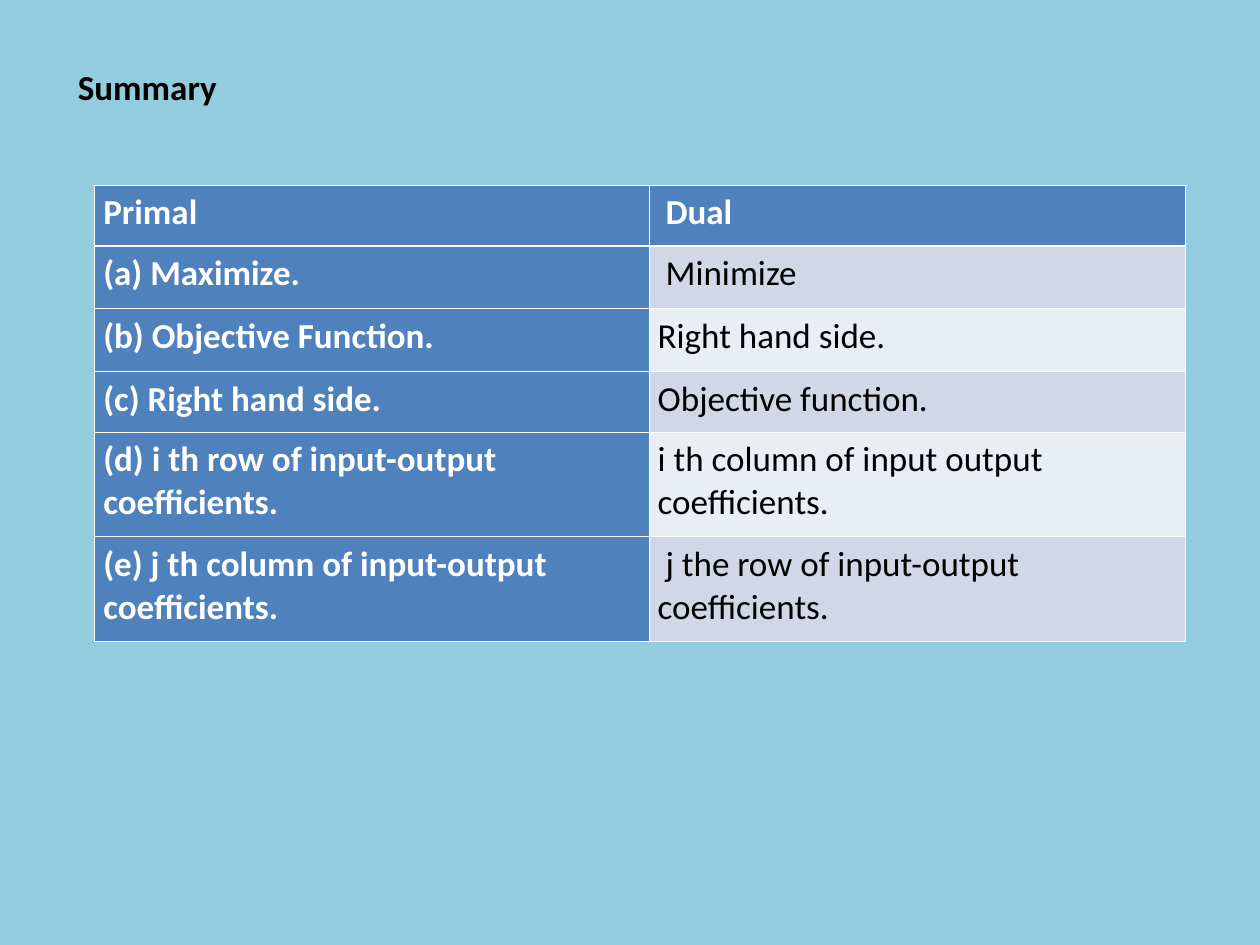
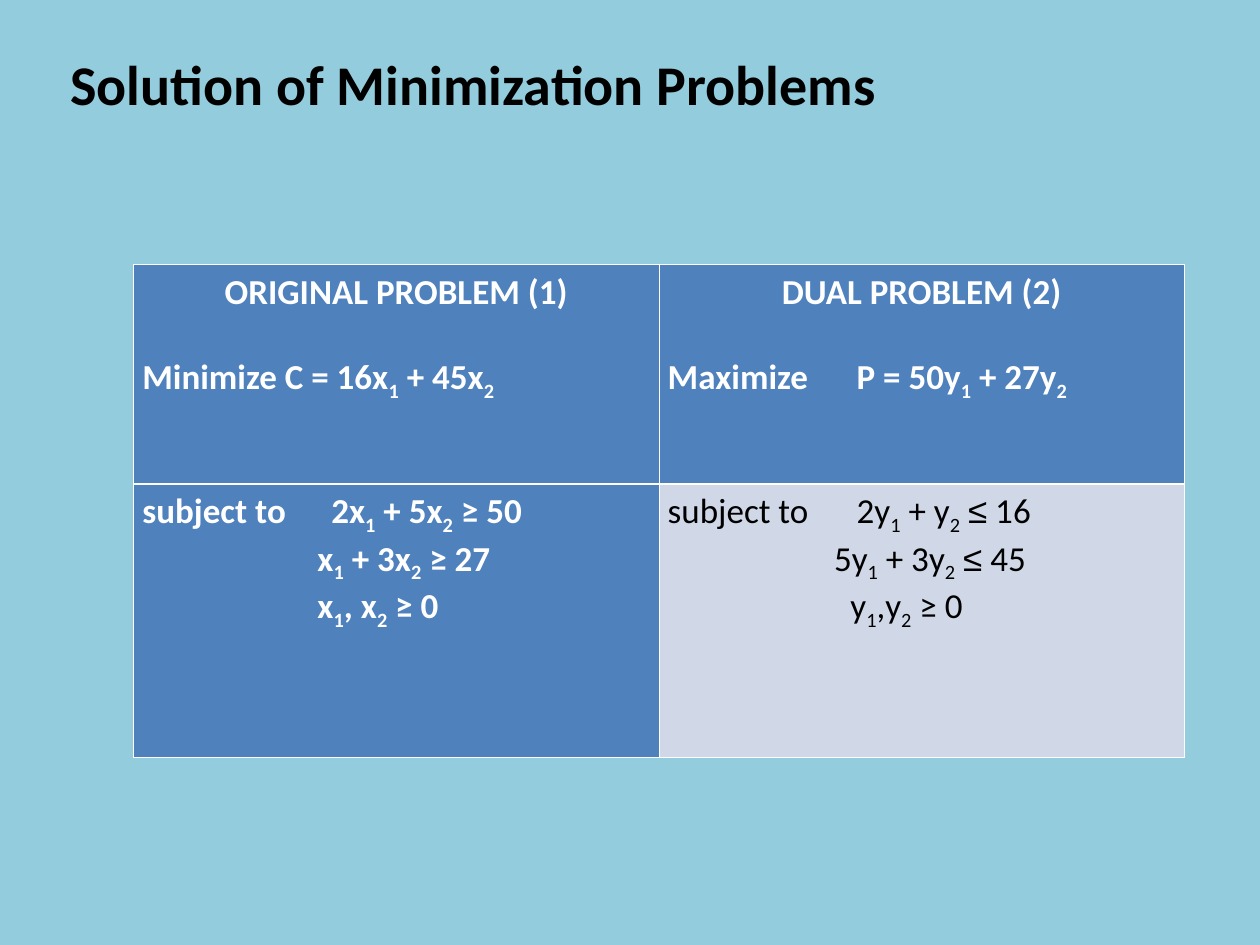
"""Build two slides comparing primal and dual linear programming problems."""
import itertools
from dataclasses import dataclass

import lxml.etree
import pptx
import pptx.dml.color
import pptx.enum.text
import pptx.oxml.ns
import pptx.util

Inches = pptx.util.Inches
Pt = pptx.util.Pt


@dataclass(frozen=True)
class Theme:
    """Colours, fonts and sizes shared by the slides."""
    background: str = "93CDDD"
    accent: str = "4F81BD"
    bands: tuple = ("D0D8E8", "E9EDF4")
    light: str = "FFFFFF"
    dark: str = "000000"
    font: str = "Calibri"
    symbol_font: str = "Arial"
    body_size: int = 20
    heading_size: int = 32
    thin_border: float = 0.45
    header_border: float = 1.47


@dataclass(frozen=True)
class Line:
    """A paragraph; an underscore makes the next character a subscript."""
    text: str
    indent: float = 0
    tab: float = 0
    space_before: float = 0
    centered: bool = False


THEME = Theme()
SUMMARY_ROWS = [
    ("Primal", " Dual"),
    ("(a) Maximize.", " Minimize"),
    ("(b) Objective Function.", "Right hand side."),
    ("(c) Right hand side.", "Objective function."),
    ("(d) i th row of input-output coefficients.",
     "i th column of input output coefficients."),
    ("(e) j th column of input-output coefficients.",
     " j the row of input-output coefficients."),
]
PROBLEM_ROWS = [
    ([Line("ORIGINAL PROBLEM (1)", centered=True),
      Line("Minimize C = 16x_1 + 45x_2", space_before=24.4)],
     [Line("DUAL PROBLEM (2)", centered=True),
      Line("Maximize\tP = 50y_1 + 27y_2", tab=1.3, space_before=24.4)]),
    ([Line("subject to\t2x_1 + 5x_2 ≥ 50", tab=1.27),
      Line("x_1 + 3x_2 ≥ 27", indent=1.39),
      Line("x_1, x_2 ≥ 0", indent=1.39)],
     [Line("subject to\t2y_1 + y_2 ≤ 16", tab=1.31),
      Line("5y_1 + 3y_2 ≤ 45", indent=1.32),
      Line("y_1,y_2 ≥ 0", indent=1.45)]),
]


def rgb(colour):
    """Turn a hex string into a colour."""
    return pptx.dml.color.RGBColor.from_string(colour)


def add_slide(presentation):
    """Add a blank slide with the shared background."""
    slide = presentation.slides.add_slide(presentation.slide_layouts[6])
    slide.background.fill.solid()
    slide.background.fill.fore_color.rgb = rgb(THEME.background)
    return slide


def format_run(run, size, colour, bold):
    """Apply the shared font to a run."""
    run.font.name = THEME.font
    run.font.size = Pt(size)
    run.font.bold = bold
    run.font.color.rgb = rgb(colour)


def split_subscripts(text):
    """Yield pieces of text with a flag that marks subscripts."""
    first, *rest = text.split("_")
    yield first, False
    for piece in rest:
        yield piece[0], True
        yield piece[1:], False


def write_line(paragraph, line, colour, bold):
    """Write one line with its indent, tab stop, subscripts and symbols."""
    properties = paragraph._p.get_or_add_pPr()
    properties.set("marL", str(Inches(line.indent)))
    properties.set("indent", "0")
    paragraph.space_before = Pt(line.space_before)
    if line.centered:
        paragraph.alignment = pptx.enum.text.PP_ALIGN.CENTER
    if line.tab:
        tabs = lxml.etree.SubElement(properties, pptx.oxml.ns.qn("a:tabLst"))
        lxml.etree.SubElement(tabs, pptx.oxml.ns.qn("a:tab"),
                              pos=str(Inches(line.tab)), algn="l")
    for piece, subscript in split_subscripts(line.text):
        for symbol, characters in itertools.groupby(piece, lambda c: c == "≤"):
            run = paragraph.add_run()
            run.text = "".join(characters)
            format_run(run, THEME.body_size, colour, bold)
            if symbol:
                run.font.name = THEME.symbol_font
            if subscript:
                run.font._element.set("baseline", "-25000")


def set_borders(cell, row_index):
    """Draw white borders, heavier below the header row."""
    below_header = row_index == 1
    above_body = row_index == 0
    heavy = {"lnT": below_header, "lnB": above_body}
    properties = cell._tc.get_or_add_tcPr()
    for position, side in enumerate(("lnL", "lnR", "lnT", "lnB")):
        width = THEME.header_border if heavy.get(side) else THEME.thin_border
        border = lxml.etree.Element(pptx.oxml.ns.qn(f"a:{side}"), w=str(Pt(width)))
        fill = lxml.etree.SubElement(border, pptx.oxml.ns.qn("a:solidFill"))
        lxml.etree.SubElement(fill, pptx.oxml.ns.qn("a:srgbClr"), val=THEME.light)
        properties.insert(position, border)


def fill_cell(cell, lines, row_index, column_index):
    """Write and style a cell by its place in the table."""
    heading = row_index == 0 or column_index == 0
    cell.fill.solid()
    cell.fill.fore_color.rgb = rgb(
        THEME.accent if heading else THEME.bands[(row_index - 1) % 2])
    cell.margin_left = cell.margin_right = Inches(0.07)
    cell.margin_top = cell.margin_bottom = Inches(0.05)
    set_borders(cell, row_index)
    for index, line in enumerate(lines):
        frame = cell.text_frame
        paragraph = frame.add_paragraph() if index else frame.paragraphs[0]
        write_line(paragraph, line, THEME.light if heading else THEME.dark, heading)


def add_comparison_table(slide, left, top, widths, heights, rows):
    """Add a table with a header row and a header column."""
    table = slide.shapes.add_table(
        len(heights), len(widths), Inches(left), Inches(top),
        Inches(sum(widths)), Inches(sum(heights))).table
    table.first_col = True
    for column, width in zip(table.columns, widths):
        column.width = Inches(width)
    for row_index, (height, row) in enumerate(zip(heights, rows)):
        table.rows[row_index].height = Inches(height)
        for column_index, lines in enumerate(row):
            fill_cell(table.cell(row_index, column_index), lines,
                      row_index, column_index)


def add_title(slide, text, left, top, width, height, size):
    """Add a bold slide title."""
    shape = slide.shapes.add_textbox(
        Inches(left), Inches(top), Inches(width), Inches(height))
    shape.text_frame.word_wrap = False
    shape.text_frame.text = text
    format_run(shape.text_frame.paragraphs[0].runs[0], size, THEME.dark, True)


def add_summary_slide(presentation):
    """Summarise how primal parts map to dual parts."""
    slide = add_slide(presentation)
    rows = [[[Line(text)] for text in row] for row in SUMMARY_ROWS]
    add_comparison_table(slide, 0.75, 1.47, (4.4, 4.26),
                         (0.48, 0.5, 0.5, 0.48, 0.83, 0.83), rows)
    add_title(slide, "Summary", 0.52, 0.47, 1.3, 0.44, THEME.body_size)


def add_minimization_slide(presentation):
    """Show a minimization problem beside its dual."""
    slide = add_slide(presentation)
    add_comparison_table(slide, 1.06, 2.1, (4.17, 4.17), (1.74, 2.17), PROBLEM_ROWS)
    add_title(slide, "Solution of Minimization Problems",
              0.46, 0.34, 6.61, 1.17, THEME.heading_size)


def main():
    """Build and save the presentation."""
    presentation = pptx.Presentation()
    presentation.slide_width = Inches(10)
    presentation.slide_height = Inches(7.5)
    add_summary_slide(presentation)
    add_minimization_slide(presentation)
    presentation.save("out.pptx")


if __name__ == "__main__":
    main()
